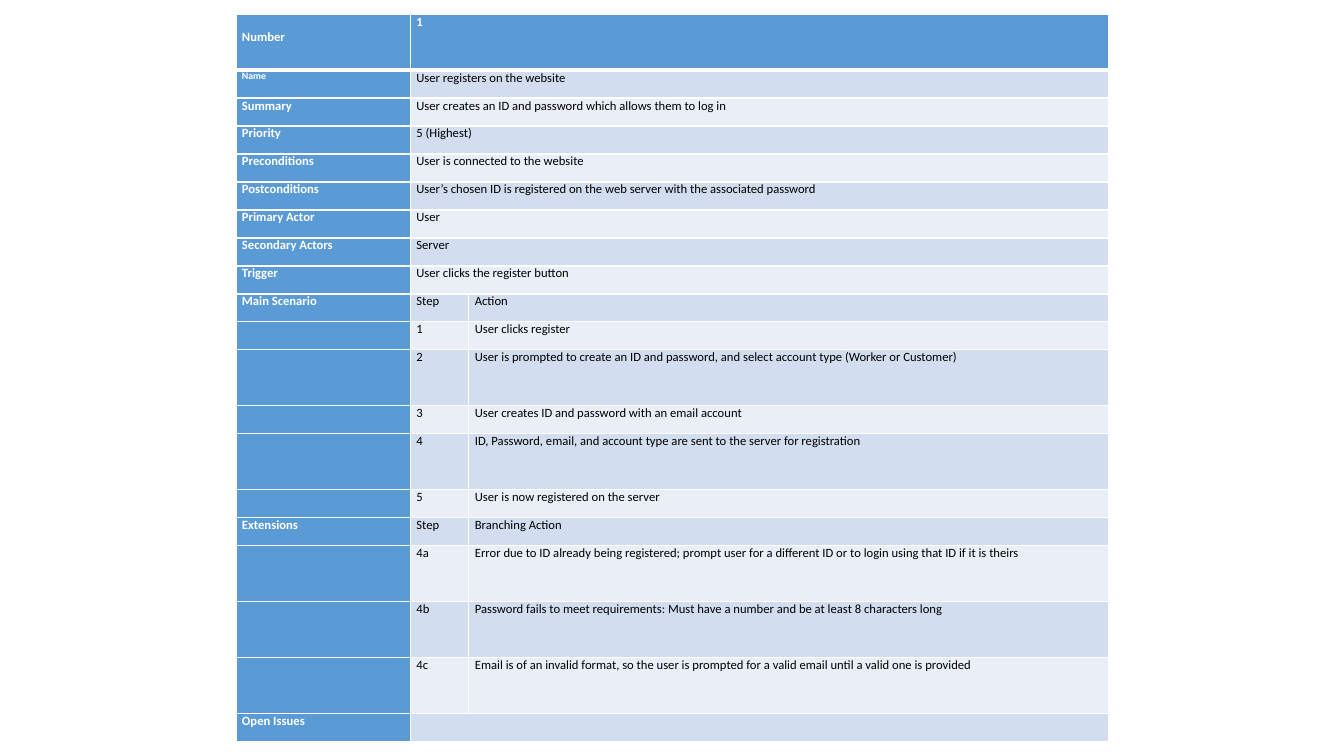
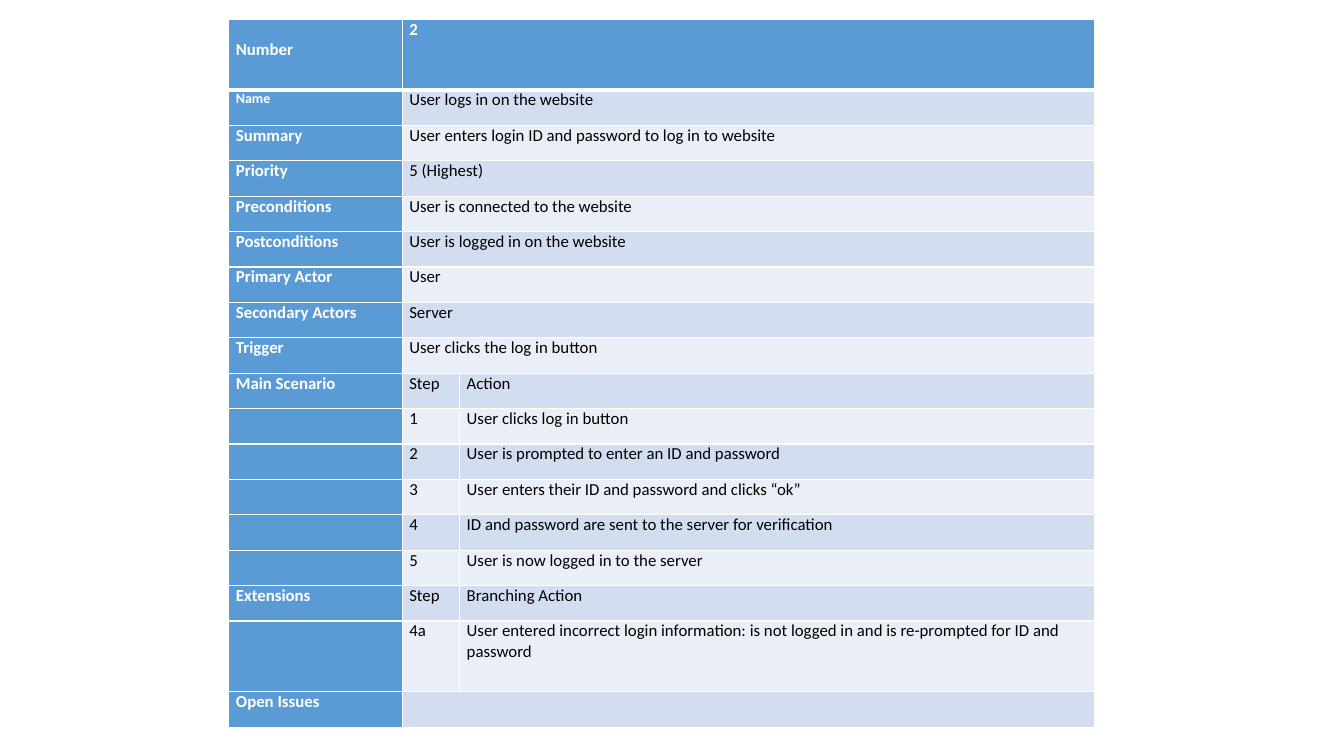
from dataclasses import dataclass
from lxml import etree
from pptx import Presentation, util as u
from pptx.dml.color import RGBColor
from pptx.enum import text
from pptx.oxml.ns import qn

LABELS = ["Name", "Summary", "Priority", "Preconditions", "Postconditions",
          "Primary Actor", "Secondary Actors", "Trigger"]

USE_CASES = [
    {
        "number": "1",
        "facts": [
            "User registers on the website",
            "User creates an ID and password which allows them to log in",
            "5 (Highest)",
            "User is connected to the website",
            "User’s chosen ID is registered on the web server with the associated password",
            "User",
            "Server",
            "User clicks the register button",
        ],
        "scenario": [
            ("1", "User clicks register"),
            ("2", "User is prompted to create an ID and password, and select account type (Worker or Customer)"),
            ("3", "User creates ID and password with an email account"),
            ("4", "ID, Password, email, and account type are sent to the server for registration"),
            ("5", "User is now registered on the server"),
        ],
        "extensions": [
            ("4a", "Error due to ID already being registered; prompt user for a different ID or to login using that ID if it is theirs"),
            ("4b", "Password fails to meet requirements: Must have a number and be at least 8 characters long"),
            ("4c", "Email is of an invalid format, so the user is prompted for a valid email until a valid one is provided"),
        ],
        "tall_steps": {"2", "4", "4a", "4b", "4c"},
        "place": (234, 14, 722),
        "columns": (173, 58, 635),
        "inset": 6, "size": 9, "name_size": 7, "number_drop": 15,
    },
    {
        "number": "2",
        "facts": [
            "User logs in on the website",
            "User enters login ID and password to log in to website",
            "5 (Highest)",
            "User is connected to the website",
            "User is logged in on the website",
            "User",
            "Server",
            "User clicks the log in button",
        ],
        "scenario": [
            ("1", "User clicks log in button"),
            ("2", "User is prompted to enter an ID and password"),
            ("3", "User enters their ID and password and clicks “ok”"),
            ("4", "ID and password are sent to the server for verification"),
            ("5", "User is now logged in to the server"),
        ],
        "extensions": [
            ("4a", "User entered incorrect login information: is not logged in and is re-prompted for ID and password"),
        ],
        "tall_steps": {"4a"},
        "place": (227, 19, 703),
        "columns": (172, 57, 630),
        "inset": 7, "size": 12, "name_size": 10, "number_drop": 20,
    },
]


@dataclass(frozen=True)
class Theme:
    font: str = "Calibri"
    accent: str = "5B9BD5"
    bands: tuple = ("EAEFF7", "D2DEEF")
    light: str = "FFFFFF"
    dark: str = "000000"
    rule: int = 1
    header_rule: int = 3


THEME = Theme()
SLIDE_SIZE = (1333, 750)
EMU_PER_PX = 9144


def px(value):
    return u.Emu(round(value * EMU_PER_PX))


def table_rows(case):
    rows = [("Number", case["number"], None)]
    rows += [(label, fact, None) for label, fact in zip(LABELS, case["facts"])]
    rows.append(("Main Scenario", "Step", "Action"))
    rows += [("", step, action) for step, action in case["scenario"]]
    rows.append(("Extensions", "Step", "Branching Action"))
    rows += [("", step, action) for step, action in case["extensions"]]
    rows.append(("Open Issues", "", None))
    return rows


def add_borders(cell, row):
    properties = cell._tc.get_or_add_tcPr()
    widths = {
        "L": THEME.rule,
        "R": THEME.rule,
        "T": THEME.header_rule if row == 1 else THEME.rule,
        "B": THEME.header_rule if row == 0 else THEME.rule,
    }
    for side, width in widths.items():
        line = etree.SubElement(properties, qn(f"a:ln{side}"), w=str(u.Pt(width)))
        fill = etree.SubElement(line, qn("a:solidFill"))
        etree.SubElement(fill, qn("a:srgbClr"), val=THEME.light)


def fill_cell(cell, row, column, words, case):
    strong = row == 0 or column == 0
    size = u.Pt(case["name_size"] if words == "Name" else case["size"])
    add_borders(cell, row)
    cell.fill.solid()
    cell.fill.fore_color.rgb = RGBColor.from_string(
        THEME.accent if strong else THEME.bands[row % 2])
    cell.margin_left = cell.margin_right = px(case["inset"])
    cell.margin_top = px(case["number_drop"] if row == column == 0 else 0)
    cell.margin_bottom = 0
    cell.vertical_anchor = text.MSO_ANCHOR.TOP
    para = cell.text_frame.paragraphs[0]
    if words:
        span = para.add_run()
        span.text = words
        span.font.name = THEME.font
        span.font.size = size
        span.font.bold = strong
        span.font.color.rgb = RGBColor.from_string(THEME.light if strong else THEME.dark)
    else:
        etree.SubElement(para._p, qn("a:endParaRPr"), sz=str(size.centipoints))


def add_use_case(deck, case):
    page = deck.slides.add_slide(deck.slide_layouts[6])
    rows = table_rows(case)
    units = [2 if row == 0 or step in case["tall_steps"] and action else 1
             for row, (label, step, action) in enumerate(rows)]
    left, top, height = case["place"]
    frame = page.shapes.add_table(len(rows), 3, px(left), px(top),
                                  px(sum(case["columns"])), px(height))
    table = frame.table
    table.first_row = table.horz_banding = False
    for column, width in zip(table.columns, case["columns"]):
        column.width = px(width)
    for row, (entries, unit) in enumerate(zip(rows, units)):
        table.rows[row].height = px(height * unit / sum(units))
        for column, words in enumerate(entries):
            fill_cell(table.cell(row, column), row, column, words, case)
        if entries[2] is None:
            table.cell(row, 1).merge(table.cell(row, 2))


def main():
    deck = Presentation()
    deck.slide_width, deck.slide_height = map(px, SLIDE_SIZE)
    for case in USE_CASES:
        add_use_case(deck, case)
    deck.save("out.pptx")


if __name__ == "__main__":
    main()
